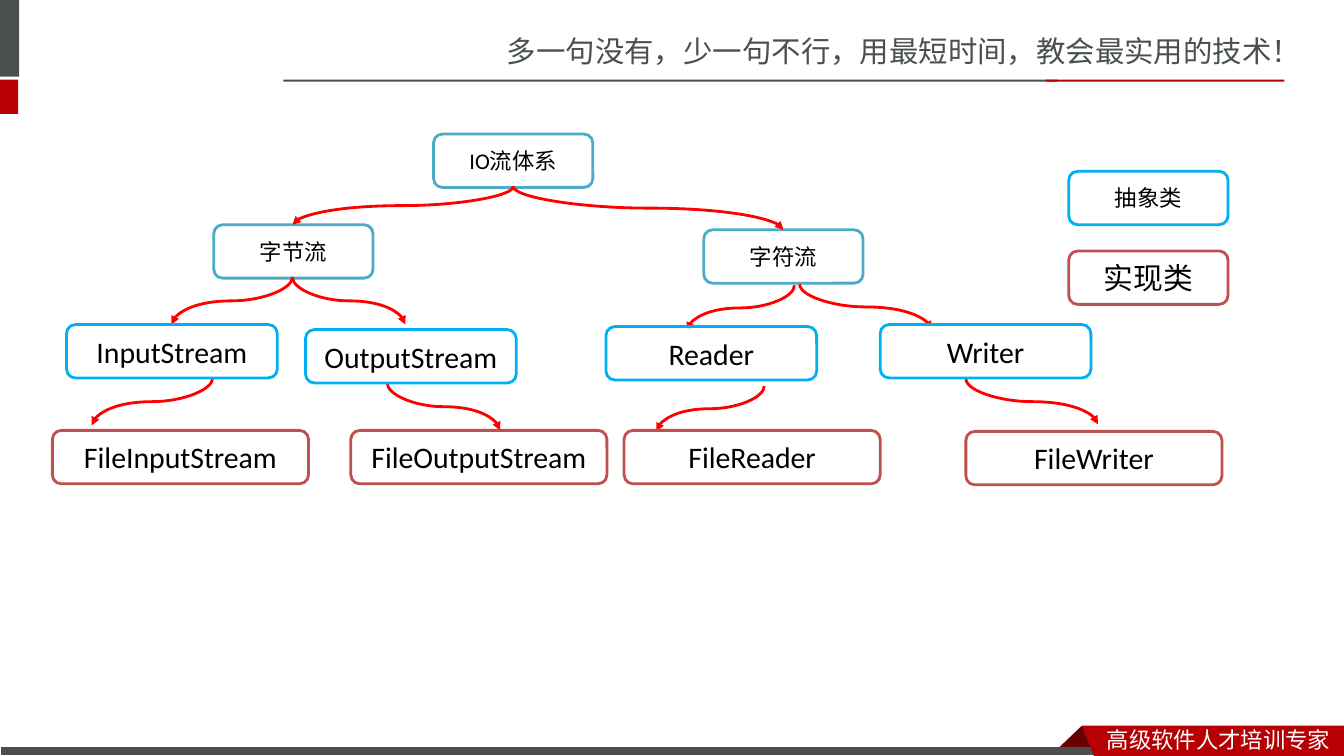
from lxml import etree
from pptx import Presentation
from pptx.dml.color import RGBColor
from pptx.enum.shapes import MSO_CONNECTOR, MSO_SHAPE
from pptx.enum.text import MSO_ANCHOR, PP_ALIGN
from pptx.oxml.ns import qn
from pptx.util import Emu, Pt

RECT, ROUND = MSO_SHAPE.RECTANGLE, MSO_SHAPE.ROUNDED_RECTANGLE
CURVE = MSO_CONNECTOR.CURVE
MIDDLE, CENTER = MSO_ANCHOR.MIDDLE, PP_ALIGN.CENTER
CJK, LATIN = "Noto Sans CJK SC", "Calibri"
COLORS = {
    "gray": "49504F", "red": "B60004", "dark": "680000", "white": "FFFFFF",
    "black": "000000", "teal": "4BACC6", "blue": "00B0F0",
    "brick": "C0504D", "arrow": "FF0000",
}
RGB = {name: RGBColor.from_string(value) for name, value in COLORS.items()}

# The slide is a grid of 1333 columns by 750 rows
COLS, ROWS, CELL = 1333, 750, 9144
prs = Presentation()
prs.slide_width, prs.slide_height = Emu(COLS * CELL), Emu(ROWS * CELL)
s = prs.slides.add_slide(prs.slide_layouts[6])


def paint(sp, fill, line=None, width=2):
    sp.shadow.inherit = False
    sp.fill.solid()
    sp.fill.fore_color.rgb = RGB[fill]
    if line:
        sp.line.color.rgb = RGB[line]
        sp.line.width = Pt(width)
    else:
        sp.line.fill.background()


def write(sp, text, size, color, font):
    tf = sp.text_frame
    tf.word_wrap = True
    tf.text = text
    r = tf.paragraphs[0].runs[0]
    r.font.size, r.font.name = Pt(size), font
    r.font.color.rgb = RGB[color]
    etree.SubElement(r.font._element, qn("a:ea")).set("typeface", CJK)


# Side blocks, header rules and bottom bar
for col, row, cols, rows, fill, line in [
    (0, 0, 19, 76, "gray", None),
    (0, 79, 18, 34, "red", None),
    (281, 79, 768, 2, "gray", None),
    (1037, 79, 237, 2, "red", None),
    (0, 741, 1099, 9, "gray", "white"),
]:
    sp = s.shapes.add_shape(RECT, *[v * CELL for v in (col, row, cols, rows)])
    paint(sp, fill, line, 0.75)

# Footer ribbon: folded corner, then the band
for fill, points in [
    ("dark", [(1073, 720), (1095, 741), (1051, 741)]),
    ("red", [(1073, 720), (COLS, 720), (COLS, ROWS), (1085, ROWS)]),
]:
    fb = s.shapes.build_freeform(*points[0], scale=CELL)
    fb.add_line_segments(points[1:], close=True)
    paint(fb.convert_to_shape(), fill)

# Header and footer slogans
for col, row, cols, rows, text, size, color in [
    (493, 28, 840, 47, "多一句没有，少一句不行，用最短时间，教会最实用的技术！", 21, "gray"),
    (1088, 715, 245, 35, "高级软件人才培训专家", 16, "white"),
]:
    sp = s.shapes.add_textbox(*[v * CELL for v in (col, row, cols, rows)])
    write(sp, text, size, color, CJK)

# Stream categories and legend, then the class boxes that cover arrow tips
categories = [
    (430, 133, 158, "IO流体系", 16, "teal"),
    (212, 223, 158, "字节流", 16, "teal"),
    (698, 228, 158, "字符流", 16, "teal"),
    (1060, 170, 158, "抽象类", 16, "blue"),
    (1060, 249, 158, "实现类", 21.3, "brick"),
]
classes = [
    (66, 322, 209, "InputStream", 21.3, "blue"),
    (303, 327, 209, "OutputStream", 21.3, "blue"),
    (601, 324, 209, "Reader", 21.3, "blue"),
    (873, 322, 209, "Writer", 21.3, "blue"),
    (52, 427, 254, "FileInputStream", 21.3, "brick"),
    (348, 427, 254, "FileOutputStream", 21.3, "brick"),
    (619, 427, 254, "FileReader", 21.3, "brick"),
    (958, 428, 254, "FileWriter", 21.3, "brick"),
]
# Arrows: start column and row, end column and row
arrows = [
    (509, 185, 290, 223), (509, 185, 777, 228),
    (290, 275, 170, 322), (290, 275, 402, 322),
    (788, 283, 681, 328), (793, 282, 924, 327),
    (211, 375, 91, 422), (384, 380, 496, 427),
    (758, 383, 651, 428), (958, 376, 1089, 421),
]

for layer in (categories, arrows, classes):
    if layer is not arrows:
        for col, row, cols, text, size, line in layer:
            sp = s.shapes.add_shape(ROUND, *[v * CELL for v in (col, row, cols, 53)])
            paint(sp, "white", line)
            write(sp, text, size, "black", LATIN)
            sp.text_frame.vertical_anchor = MIDDLE
            sp.text_frame.paragraphs[0].alignment = CENTER
        continue
    for x1, y1, x2, y2 in arrows:
        # A quarter turn about the centre makes the curve leave downwards
        mid_x, mid_y = (x1 + x2) / 2, (y1 + y2) / 2
        half_w, half_h = (y2 - y1) / 2, abs(x2 - x1) / 2
        side, turn = (1, 270) if x2 > x1 else (-1, 90)
        ends = (mid_x + side * half_w, mid_y - half_h,
                mid_x - side * half_w, mid_y + half_h)
        c = s.shapes.add_connector(CURVE, *[int(v * CELL) for v in ends])
        c.line.color.rgb = RGB["arrow"]
        c.line.width = Pt(2)
        props = c._element.spPr
        props.find(qn("a:xfrm")).set("rot", str(turn * 60000))
        etree.SubElement(props.find(qn("a:ln")), qn("a:tailEnd")).set("type", "triangle")
        etree.SubElement(props, qn("a:effectLst"))

prs.save("out.pptx")
